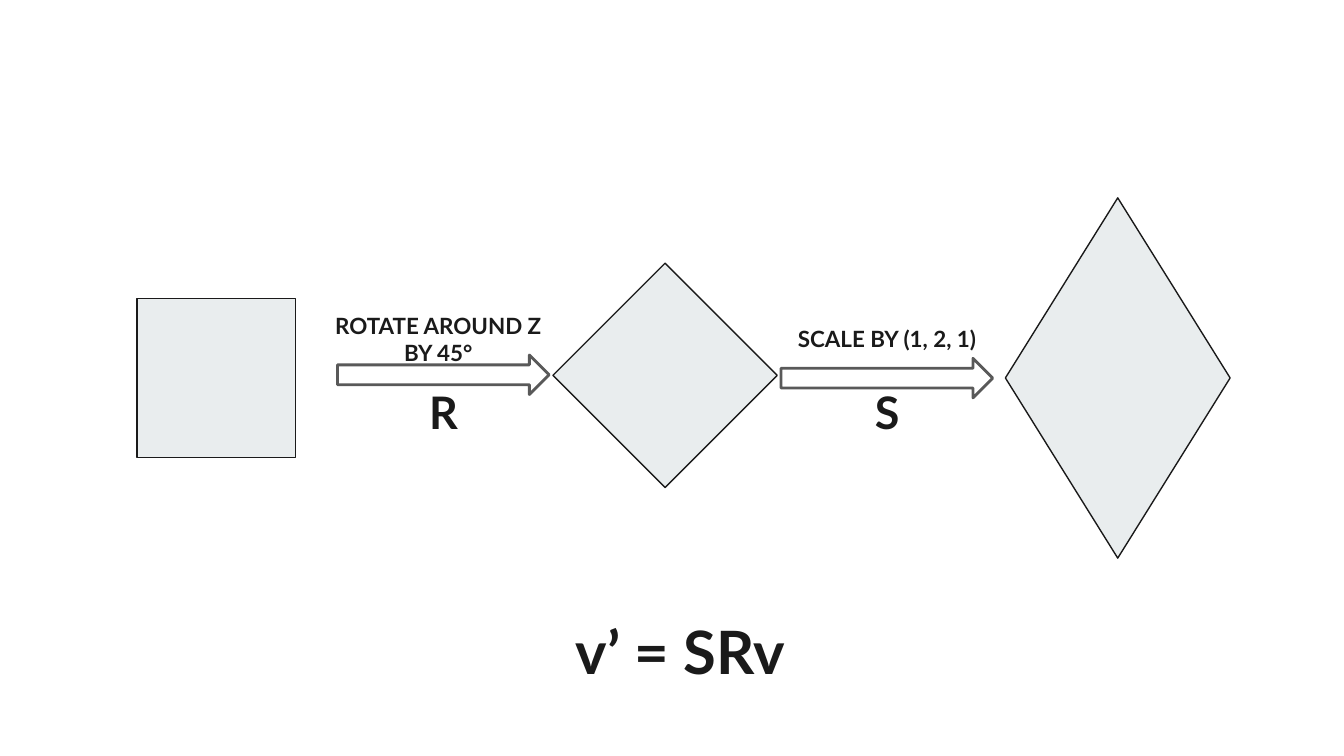
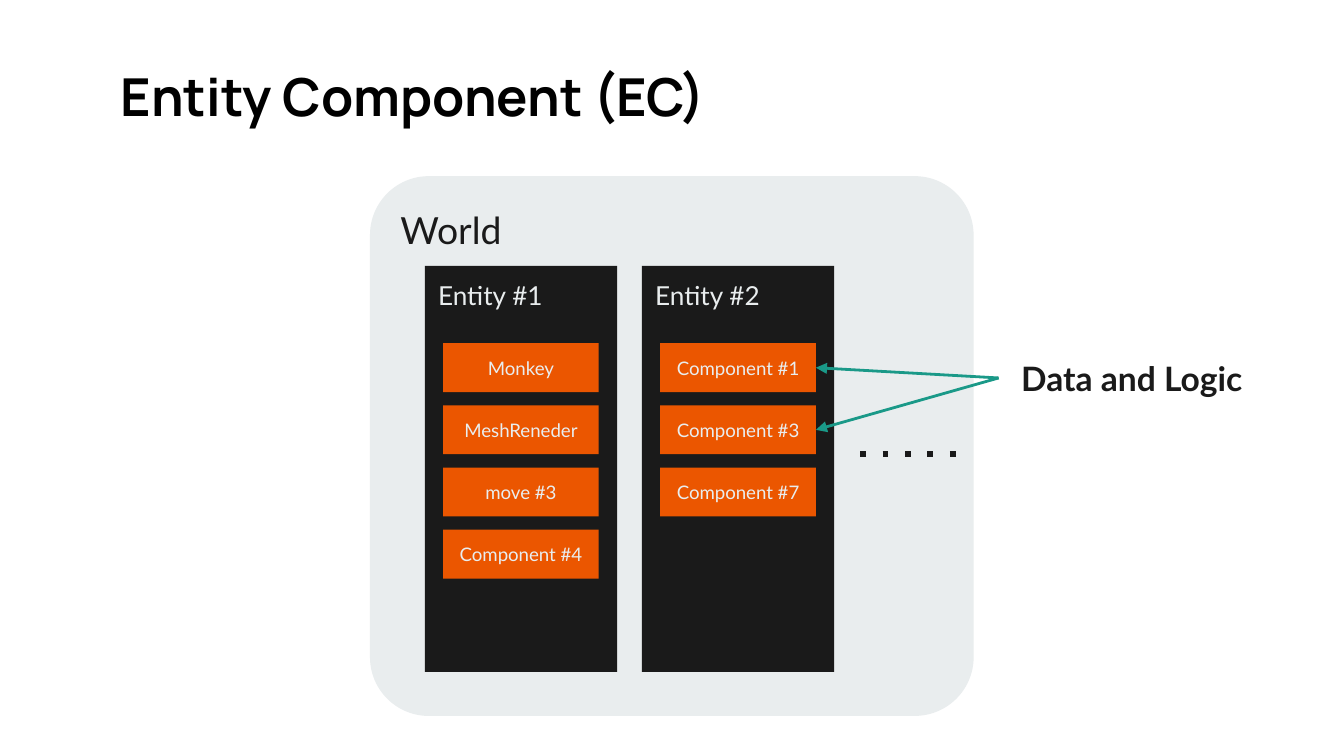
import pptx
import pptx.util
import pptx.dml.color
import pptx.enum.dml
import pptx.enum.shapes
import pptx.enum.text
import pptx.oxml.ns
from lxml import etree

Pt = pptx.util.Pt
MSO = pptx.enum.shapes.MSO_SHAPE
ANCHOR = pptx.enum.text.MSO_ANCHOR
ALIGN = pptx.enum.text.PP_ALIGN
rgb = pptx.dml.color.RGBColor.from_string

DARK, PALE, ORANGE, TEAL, GREY = "1A1A1A", "E9EDEE", "EB5600", "1A9988", "595959"


def add_box(s, x, y, w, h, text="", shape=None, fill=None, line=None, width=0.75,
            size=12, color=DARK, bold=False, font="Lato", align=ALIGN.LEFT, anchor=ANCHOR.TOP):
    at = Pt(x), Pt(y), Pt(w), Pt(h)
    if shape is None:
        sp = s.shapes.add_textbox(*at)
    else:
        sp = s.shapes.add_shape(shape, *at)
        sp.shadow.inherit = False
        if fill:
            sp.fill.solid()
            sp.fill.fore_color.rgb = rgb(fill)
        else:
            sp.fill.background()
        if line:
            sp.line.color.rgb = rgb(line)
            sp.line.width = Pt(width)
        else:
            sp.line.fill.background()
    if text:
        tf = sp.text_frame
        tf.word_wrap = True
        tf.vertical_anchor = anchor
        tf.margin_left = tf.margin_right = tf.margin_top = tf.margin_bottom = Pt(7.2)
        p = tf.paragraphs[0]
        p.alignment = align
        r = p.add_run()
        r.text = text
        r.font.name = font
        r.font.size = Pt(size)
        r.font.bold = bold
        r.font.color.rgb = rgb(color)
    return sp


def add_line(s, x1, y1, x2, y2, color, width):
    cx = s.shapes.add_connector(pptx.enum.shapes.MSO_CONNECTOR.STRAIGHT, Pt(x1), Pt(y1), Pt(x2), Pt(y2))
    cx.line.color.rgb = rgb(color)
    cx.line.width = Pt(width)
    etree.SubElement(cx._element.spPr, pptx.oxml.ns.qn("a:effectLst"))
    return cx


prs = pptx.Presentation()
prs.slide_width, prs.slide_height = Pt(720), Pt(405)
blank = prs.slide_layouts[6]

s = prs.slides.add_slide(blank)
square = add_box(s, 313.8, 158.6, 85, 85, shape=MSO.RECTANGLE, fill=PALE, line=DARK)
square.rotation = 45
add_box(s, 73.4, 160, 85, 85, shape=MSO.RECTANGLE, fill=PALE, line=DARK)

steps = [
    (180.8, 190.2, 165, "ROTATE AROUND Z BY 45°", 167.8, "R"),
    (418.4, 192, 405.4, "SCALE BY (1, 2, 1)", 405.4, "S"),
]
for arrow_x, arrow_y, label_x, label, matrix_x, matrix in steps:
    add_box(s, arrow_x, arrow_y, 113.4, 21.2, shape=MSO.RIGHT_ARROW, line=GREY, width=1.5)
    for x, y, text, size in [(label_x, 167.8, label, 12), (matrix_x, 206.8, matrix, 24)]:
        add_box(s, x, y, 139.6, 27.4, text, size=size, bold=True, align=ALIGN.CENTER, anchor=ANCHOR.MIDDLE)

add_box(s, 43.2, 322, 643, 65, "v’ = SRv", size=32, bold=True, align=ALIGN.CENTER)
add_box(s, 538.6, 106, 120.4, 193, shape=MSO.DIAMOND, fill=PALE, line=DARK)

s = prs.slides.add_slide(blank)
add_box(s, 57.6, 27.4, 605.6, 42.4, "Entity Component (EC)", size=28, color="000000", bold=True, font="Manrope")
world = add_box(s, 198.2, 94.4, 323.4, 289.2, "World", shape=MSO.ROUNDED_RECTANGLE, fill=PALE, size=20)
world.adjustments[0] = 0.109

entities = [
    ("Entity #1", ["Monkey", "MeshReneder", "move #3", "Component #4"]),
    ("Entity #2", ["Component #1", "Component #3", "Component #7"]),
]
components = {}
for col, (entity, names) in enumerate(entities):
    x = 227.6 + col * 116.3
    add_box(s, x, 142.4, 103, 217.6, entity, shape=MSO.RECTANGLE, fill=DARK, size=14, color=PALE)
    for row, name in enumerate(names):
        components[name] = add_box(s, x + 9.8, 183.9 + row * 33.3, 83.4, 26.2, name, shape=MSO.RECTANGLE,
                                   fill=ORANGE, size=10, color=PALE, align=ALIGN.CENTER)

dots = add_line(s, 460.8, 243.4, 512, 243.4, DARK, 3)
dots.line.dash_style = pptx.enum.dml.MSO_LINE.ROUND_DOT
dots.line._ln.find(pptx.oxml.ns.qn("a:prstDash")).set("val", "dot")

note = add_box(s, 535, 187.8, 142.6, 29.4, "Data and Logic", size=18, bold=True,
               align=ALIGN.CENTER, anchor=ANCHOR.MIDDLE)
for name in ["Component #3", "Component #1"]:
    cx = add_line(s, 535, 202.5, 437, 202.5, TEAL, 1.5)
    cx.begin_connect(note, 1)
    cx.end_connect(components[name], 3)
    etree.SubElement(cx.line._ln, pptx.oxml.ns.qn("a:tailEnd"), type="triangle")

prs.save("out.pptx")
